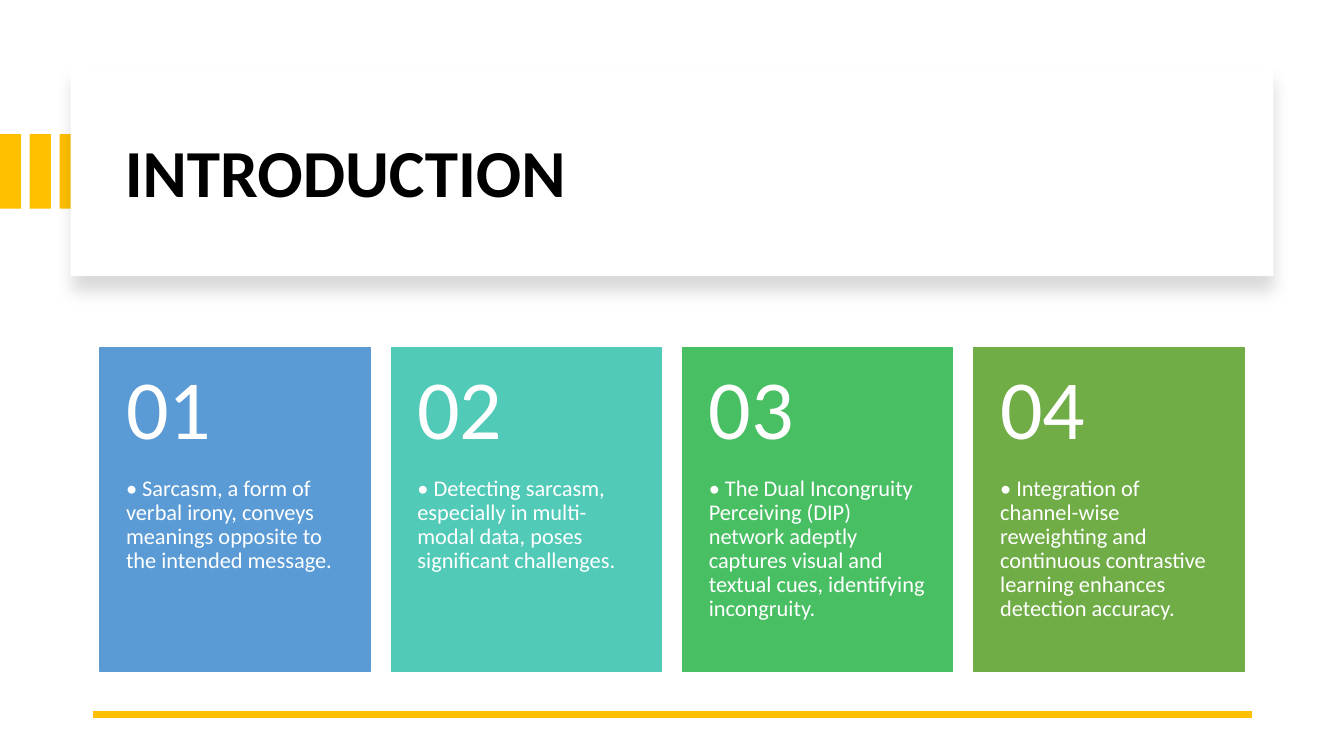
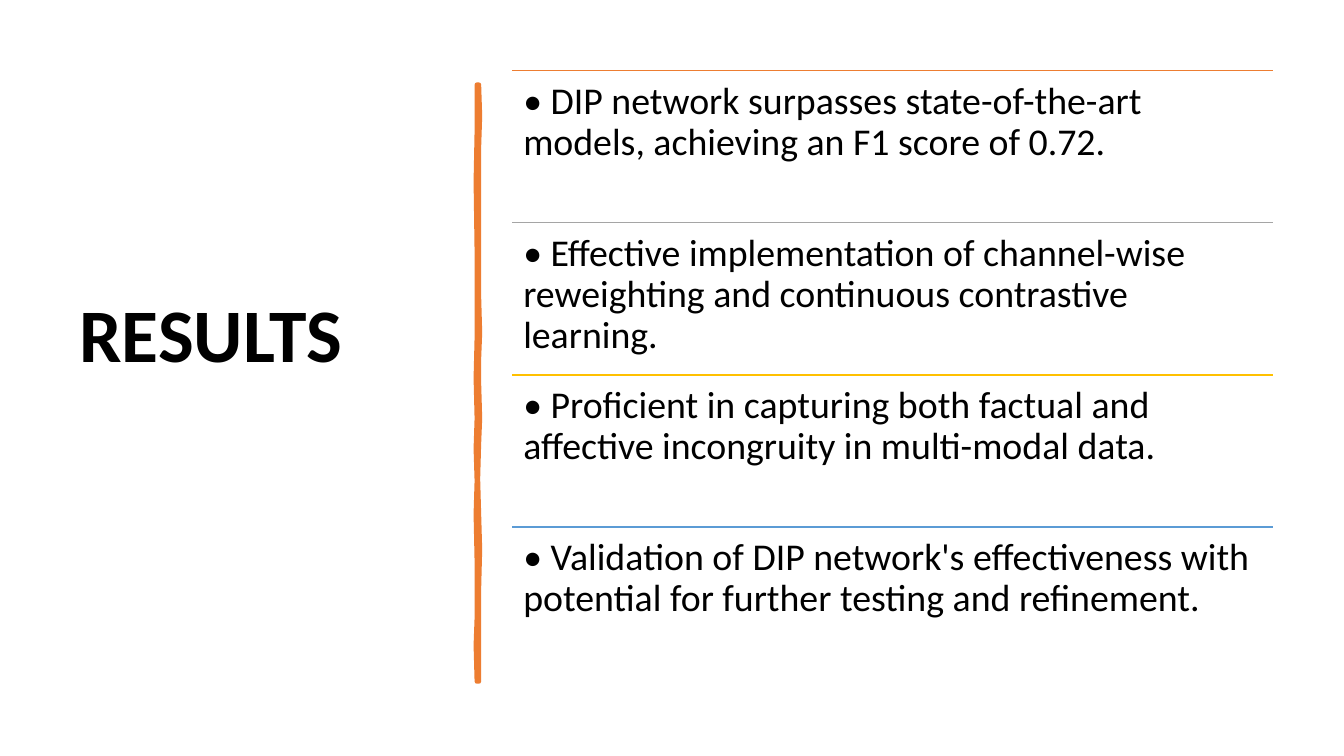
from dataclasses import dataclass

from lxml.etree import SubElement
from pptx import Presentation
from pptx.dml.color import RGBColor
from pptx.enum.shapes import MSO_CONNECTOR, MSO_SHAPE
from pptx.enum.text import MSO_ANCHOR
from pptx.oxml.ns import qn
from pptx.util import Inches, Pt


@dataclass(frozen=True)
class Theme:
    font: str = "Calibri"
    black: str = "000000"
    white: str = "FFFFFF"
    gold: str = "FFC000"
    orange: str = "ED7D31"
    gray: str = "A5A5A5"
    blue: str = "5B9BD5"
    teal: str = "52CAB8"
    green: str = "49BF64"
    olive: str = "70AD47"
    small: float = 16
    body: float = 27
    head: float = 48
    large: float = 54
    number: float = 60
    spacing: float = 0.9


THEME = Theme()
TITLE_PAD = (0.1, 0.05, 0.1, 0.05)
NUMBER_PAD = (0.26, 0.18, 0.26, 0.18)
CARD_PAD = (0.26, 0, 0.26, 0.36)
ROW_PAD = (0.11, 0.11, 0.11, 0.11)

CARDS = [
    (THEME.blue, "Sarcasm, a form of verbal irony, conveys meanings opposite "
     "to the intended message."),
    (THEME.teal, "Detecting sarcasm, especially in multi-modal data, poses "
     "significant challenges."),
    (THEME.green, "The Dual Incongruity Perceiving (DIP) network adeptly "
     "captures visual and textual cues, identifying incongruity."),
    (THEME.olive, "Integration of channel-wise reweighting and continuous "
     "contrastive learning enhances detection accuracy."),
]
ROWS = [
    (THEME.orange, "DIP network surpasses state-of-the-art models, achieving "
     "an F1 score of 0.72."),
    (THEME.gray, "Effective implementation of channel-wise reweighting and "
     "continuous contrastive learning."),
    (THEME.gold, "Proficient in capturing both factual and affective "
     "incongruity in multi-modal data."),
    (THEME.blue, "Validation of DIP network's effectiveness with potential "
     "for further testing and refinement."),
]
STROKE = [
    (4.75, 0.84), (4.76, 1.15), (4.75, 1.46), (4.75, 2.26), (4.75, 2.94),
    (4.76, 3.3), (4.75, 3.56), (4.75, 3.8), (4.76, 4.15), (4.75, 4.4),
    (4.74, 4.75), (4.75, 5.1), (4.76, 5.45), (4.75, 5.84), (4.75, 6.76),
    (4.73, 6.76), (4.72, 6.4), (4.73, 6.13), (4.73, 5.57), (4.72, 5.1),
    (4.73, 4.77), (4.72, 4.45), (4.73, 4.15), (4.72, 3.75), (4.73, 3.35),
    (4.73, 2.5), (4.72, 1.8), (4.73, 1.3), (4.73, 0.84),
]


class Deck:
    def __init__(self, theme):
        self.theme = theme
        self.show = Presentation()
        self.show.slide_width = Inches(13.33)
        self.show.slide_height = Inches(7.5)
        self.slide = None

    def page(self):
        self.slide = self.show.slides.add_slide(self.show.slide_layouts[6])

    def paint(self, shape, color, edge=None):
        """Fill a shape flat; edge is the outline width in points."""
        shape.shadow.inherit = False
        shape.fill.solid()
        shape.fill.fore_color.rgb = RGBColor.from_string(color)
        if edge:
            shape.line.color.rgb = RGBColor.from_string(color)
            shape.line.width = Pt(edge)
        else:
            shape.line.fill.background()

    def rect(self, left, top, width, height, color, edge=None):
        shape = self.slide.shapes.add_shape(
            MSO_SHAPE.RECTANGLE, Inches(left), Inches(top),
            Inches(width), Inches(height))
        self.paint(shape, color, edge)
        return shape

    def panel(self, left, top, width, height):
        """White rectangle with a soft shadow below it."""
        shape = self.rect(left, top, width, height, self.theme.white)
        effects = shape._element.spPr.find(qn("a:effectLst"))
        shade = SubElement(
            effects, qn("a:outerShdw"), blurRad=str(Pt(11)),
            dist=str(Pt(10)), dir="5400000", algn="t", rotWithShape="0")
        tint = SubElement(shade, qn("a:srgbClr"), val=self.theme.black)
        SubElement(tint, qn("a:alpha"), val="15000")

    def rule(self, left, right, top, color, width):
        line = self.slide.shapes.add_connector(
            MSO_CONNECTOR.STRAIGHT, Inches(left), Inches(top),
            Inches(right), Inches(top))
        line.line.color.rgb = RGBColor.from_string(color)
        line.line.width = Pt(width)
        SubElement(line._element.spPr, qn("a:effectLst"))

    def brush(self, points, color, width):
        """Closed hand-drawn outline with round joins."""
        first, *rest = [(Inches(x), Inches(y)) for x, y in points]
        pen = self.slide.shapes.build_freeform(*first)
        pen.add_line_segments(rest, close=True)
        shape = pen.convert_to_shape()
        self.paint(shape, color, width)
        SubElement(shape._element.spPr.find(qn("a:ln")), qn("a:round"))

    def text(self, words, left, top, width, height, size, color, pad,
             middle=False, bold=False):
        box = self.slide.shapes.add_textbox(
            Inches(left), Inches(top), Inches(width), Inches(height))
        frame = box.text_frame
        frame.word_wrap = True
        frame.vertical_anchor = MSO_ANCHOR.MIDDLE if middle else MSO_ANCHOR.TOP
        (frame.margin_left, frame.margin_top,
         frame.margin_right, frame.margin_bottom) = map(Inches, pad)
        frame.text = words
        para = frame.paragraphs[0]
        para.line_spacing = self.theme.spacing
        font = para.runs[0].font
        font.name = self.theme.font
        font.size = Pt(size)
        font.bold = bold
        font.color.rgb = RGBColor.from_string(color)

    def title(self, words, left, top, width, height, size):
        self.text(words, left, top, width, height, size, self.theme.black,
                  TITLE_PAD, middle=True, bold=True)

    def card(self, number, words, left, color):
        top, width, head, body = 3.45, 2.68, 1.28, 1.93
        white = self.theme.white
        self.rect(left, top, width, head + body, color, 1)
        self.text(f"• {words}", left, top + head, width, body,
                  self.theme.small, white, CARD_PAD)
        self.text(f"{number:02}", left, top, width, head,
                  self.theme.number, white, NUMBER_PAD, middle=True)

    def row(self, words, top, height, color):
        left, width = 5.08, 7.55
        self.rule(left, left + width, top, color, 1)
        self.text(f"• {words}", left, top, width, height,
                  self.theme.body, self.theme.black, ROW_PAD)


def intro(deck):
    deck.page()
    for i in range(3):
        deck.rect(i * 0.295, 1.33, 0.21, 0.74, THEME.gold)
    deck.panel(0.7, 0.67, 11.93, 2.07)
    deck.title("INTRODUCTION", 1.14, 0.89, 11.13, 1.7, THEME.head)
    deck.rule(0.92, 12.42, 7.09, THEME.gold, 4.5)
    for i, (color, words) in enumerate(CARDS):
        deck.card(i + 1, words, 0.99 + i * 2.89, color)


def results(deck):
    deck.page()
    deck.title("RESULTS", 0.69, 0.7, 3.74, 5.3, THEME.large)
    deck.brush(STROKE, THEME.orange, 3.25)
    step = 1.51
    for i, (color, words) in enumerate(ROWS):
        deck.row(words, 0.7 + i * step, step, color)


def main():
    deck = Deck(THEME)
    intro(deck)
    results(deck)
    deck.show.save("out.pptx")


if __name__ == "__main__":
    main()
